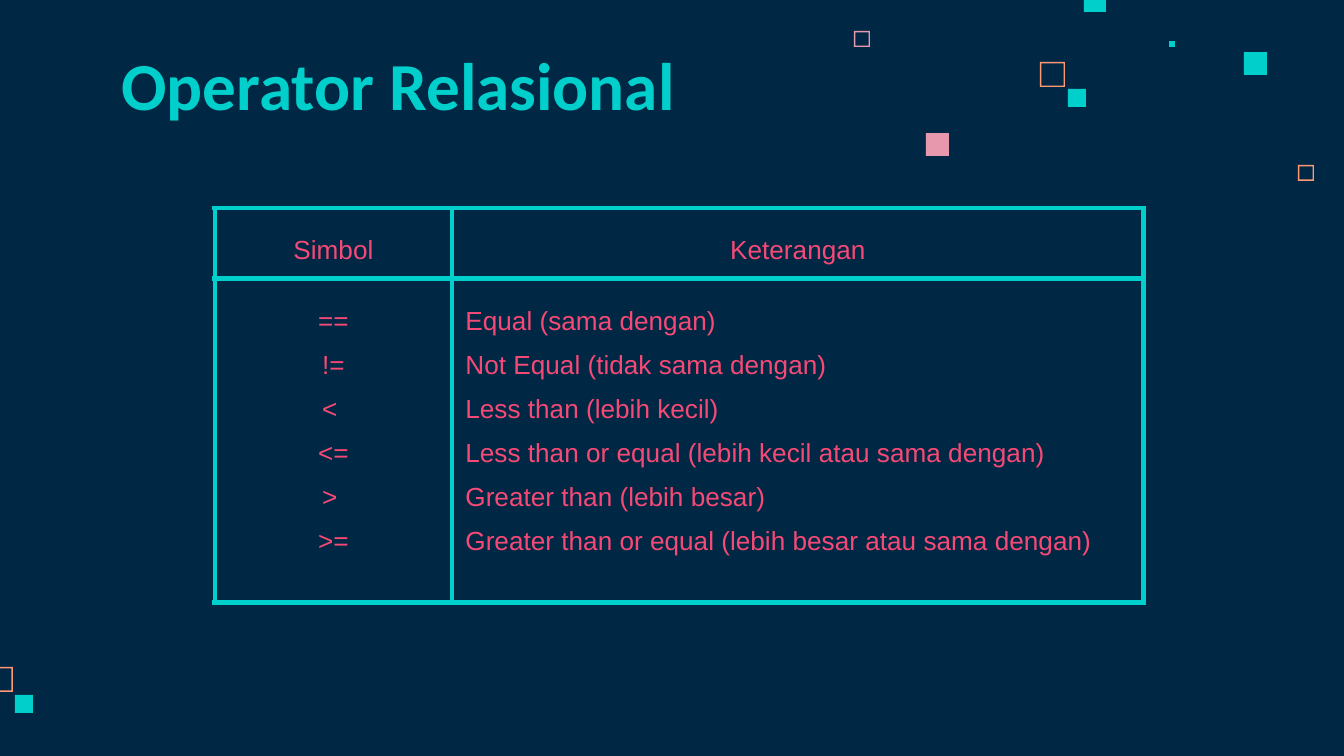
from lxml.etree import SubElement
from pptx import Presentation
from pptx.dml.color import RGBColor
from pptx.enum.shapes import MSO_SHAPE as Shape
from pptx.enum.text import MSO_ANCHOR as Anchor, PP_ALIGN as Align
from pptx.oxml.ns import qn
from pptx.util import Inches, Pt

PX = Inches(10) / 1344
NAVY, TEAL, CORAL, PINK, ROSE = "002845", "00CFCC", "FF9973", "E898AC", "F64975"

# Content
TITLE = "Operator Relasional"
HEADERS = ("Simbol", "Keterangan")
OPERATORS = [
    ("==", "Equal (sama dengan)"),
    ("!=", "Not Equal (tidak sama dengan)"),
    ("< ", "Less than (lebih kecil)"),
    ("<=", "Less than or equal (lebih kecil atau sama dengan)"),
    ("> ", "Greater than (lebih besar)"),
    (">=", "Greater than or equal (lebih besar atau sama dengan)"),
]
COLUMNS = (237, 692)
ROWS = (71, 324)

# Decorative squares: left, top, side, colour
FRAMES = [
    (1298, 165, 16, CORAL), (854, 31, 16, PINK),
    (1040, 62, 25, CORAL), (-12, 667, 25, CORAL),
]
BLOCKS = [
    (1169, 41, 6, TEAL), (1084, -10, 22, TEAL), (1244, 52, 23, TEAL),
    (1068, 89, 18, TEAL), (926, 133, 23, PINK), (15, 695, 18, TEAL),
]


def px(n):
    return round(n * PX)


def rgb(value):
    return RGBColor.from_string(value)


def add_text(p, text, font, size, color, align, bold=False):
    p.alignment = align
    r = p.add_run()
    r.text = text
    r.font.name, r.font.size, r.font.bold = font, Pt(size), bold
    r.font.color.rgb = rgb(color)


def set_margins(obj):
    obj.margin_left = obj.margin_right = Inches(0.1)
    obj.margin_top = obj.margin_bottom = Inches(0.1)


def add_square(slide, kind, left, top, side, color):
    s = slide.shapes.add_shape(kind, px(left), px(top), px(side), px(side))
    s.shadow.inherit = False
    s.fill.solid()
    s.fill.fore_color.rgb = rgb(color)
    s.line.fill.background()
    return s


def set_borders(cell, color, width):
    tcPr = cell._tc.get_or_add_tcPr()
    for i, side in enumerate(("lnL", "lnR", "lnT", "lnB")):
        ln = tcPr.makeelement(qn(f"a:{side}"), {"w": str(Pt(width))})
        fill = SubElement(ln, qn("a:solidFill"))
        SubElement(fill, qn("a:srgbClr"), val=color)
        tcPr.insert(i, ln)


def fill_cell(cell, lines, align):
    set_margins(cell)
    cell.fill.background()
    tf = cell.text_frame
    for i, line in enumerate(lines):
        p = tf.add_paragraph() if i else tf.paragraphs[0]
        p.line_spacing = 1.5
        add_text(p, line, "Arial", 14, ROSE, align)
    set_borders(cell, TEAL, 3)


prs = Presentation()
prs.slide_width, prs.slide_height = px(1344), px(756)
slide = prs.slides.add_slide(prs.slide_layouts[5])
slide.background.fill.solid()
slide.background.fill.fore_color.rgb = rgb(NAVY)

# Decoration
for left, top, side, color in FRAMES:
    s = add_square(slide, Shape.FRAME, left, top, side, color)
    s.adjustments[0] = 1.4 / side
for block in BLOCKS:
    add_square(slide, Shape.RECTANGLE, *block)

# Title
title = slide.shapes.title
title.left, title.top, title.width, title.height = px(108), px(30), px(726), px(98)
tf = title.text_frame
tf.word_wrap = True
tf.vertical_anchor = Anchor.TOP
set_margins(tf)
add_text(tf.paragraphs[0], TITLE, "Calibri", 36, TEAL, Align.JUSTIFY, bold=True)

# Operator table
table = slide.shapes.add_table(
    len(ROWS), len(COLUMNS), px(215), px(208), px(sum(COLUMNS)), px(sum(ROWS))
).table
table.first_row = table.horz_banding = False
for column, width in zip(table.columns, COLUMNS):
    column.width = px(width)
for row, height in zip(table.rows, ROWS):
    row.height = px(height)
for c, (header, lines) in enumerate(zip(HEADERS, zip(*OPERATORS))):
    fill_cell(table.cell(0, c), [header], Align.CENTER)
    fill_cell(table.cell(1, c), lines, Align.JUSTIFY if c else Align.CENTER)

prs.save("out.pptx")
